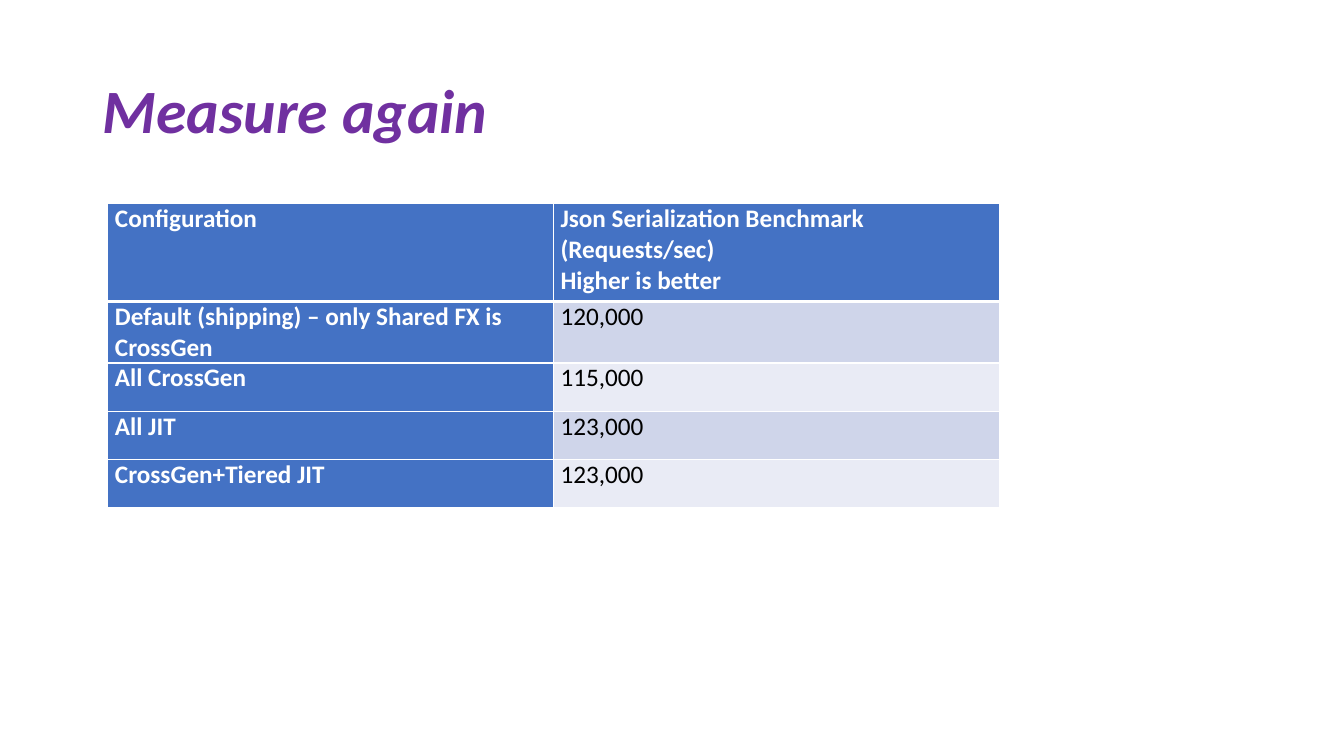
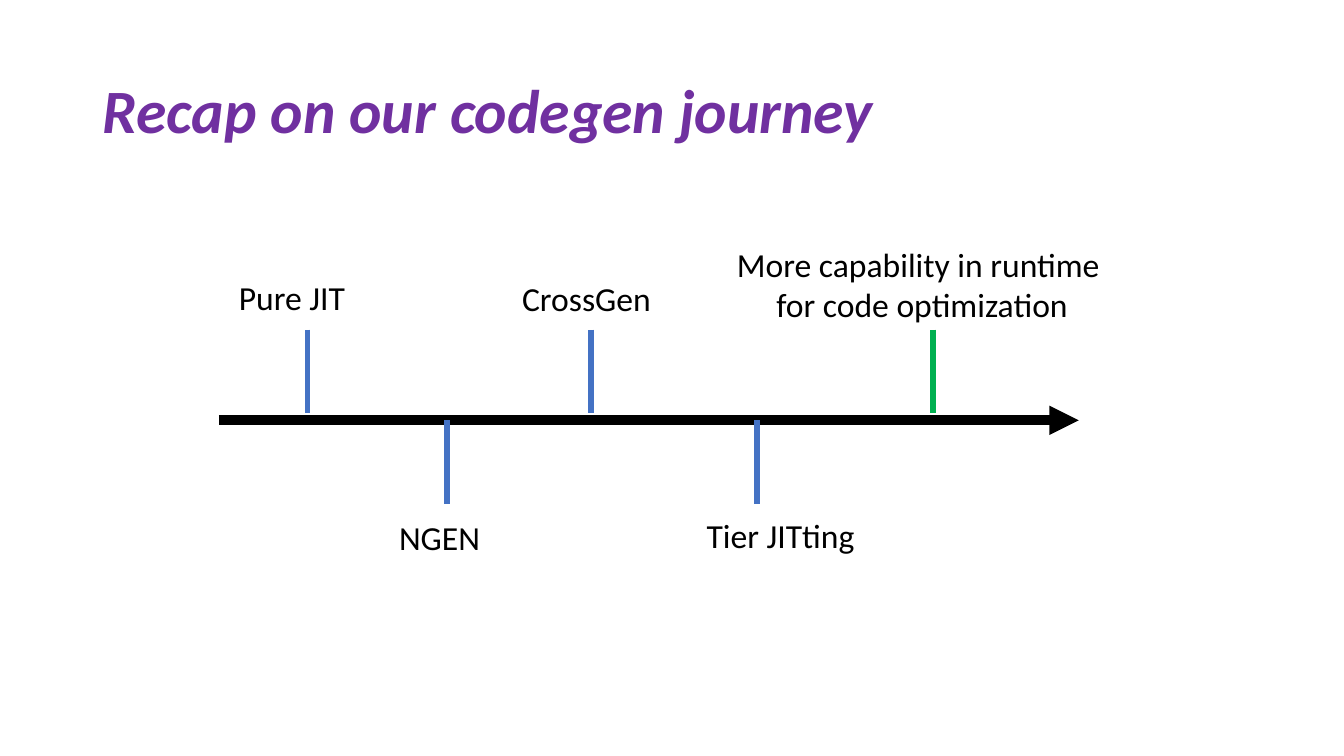
import pptx
import pptx.util
import pptx.dml.color
import pptx.enum.shapes
import pptx.enum.text
import pptx.oxml
import pptx.oxml.ns
from pptx.util import Inches

COLORS = {
    "title": "7030A0",
    "text": "000000",
    "white": "FFFFFF",
    "accent": "4472C4",
    "future": "00B050",
    "band_dark": "CFD5EA",
    "band_light": "E9EBF5",
}


class Deck:
    """Hold the shared style and the current slide."""

    font = "Calibri"

    def __init__(self):
        self.prs = pptx.Presentation()
        self.prs.slide_width = Inches(13.33)
        self.prs.slide_height = Inches(7.5)
        self.s = None

    def rgb(self, color):
        return pptx.dml.color.RGBColor.from_string(COLORS[color])

    def format(self, tf, size, color, bold=False, italic=False, align="LEFT"):
        for p in tf.paragraphs:
            p.alignment = pptx.enum.text.PP_ALIGN[align]
            for r in p.runs:
                r.font.name = self.font
                r.font.size = pptx.util.Pt(size)
                r.font.bold = bold
                r.font.italic = italic
                r.font.color.rgb = self.rgb(color)

    def slide(self, title):
        self.s = self.prs.slides.add_slide(self.prs.slide_layouts[5])
        sp = self.s.shapes.title
        sp.left, sp.top = Inches(0.92), Inches(0.4)
        sp.width, sp.height = Inches(11.5), Inches(1.45)
        tf = sp.text_frame
        tf.text = title
        tf.word_wrap = True
        tf.auto_size = pptx.enum.text.MSO_AUTO_SIZE.NONE
        tf.vertical_anchor = pptx.enum.text.MSO_ANCHOR.MIDDLE
        tf.paragraphs[0].line_spacing = 0.9
        self.format(tf, 44, "title", bold=True, italic=True)

    def text(self, x, y, w, h, text, align="LEFT"):
        tf = self.s.shapes.add_textbox(Inches(x), Inches(y), Inches(w), Inches(h)).text_frame
        tf.word_wrap = True
        tf.auto_size = pptx.enum.text.MSO_AUTO_SIZE.SHAPE_TO_FIT_TEXT
        tf.text = text
        self.format(tf, 24, "text", align=align)

    def line(self, x1, y1, x2, y2, color, width, arrow=False):
        c = self.s.shapes.add_connector(
            pptx.enum.shapes.MSO_CONNECTOR.STRAIGHT,
            Inches(x1), Inches(y1), Inches(x2), Inches(y2))
        c.line.color.rgb = self.rgb(color)
        c.line.width = pptx.util.Pt(width)
        if arrow:
            ln = c.line._get_or_add_ln()
            ln.append(pptx.oxml.parse_xml(
                f'<a:tailEnd {pptx.oxml.ns.nsdecls("a")} type="triangle"/>'))
        c._element.spPr.append(pptx.oxml.parse_xml(
            f'<a:effectLst {pptx.oxml.ns.nsdecls("a")}/>'))

    def borders(self, cell, top, bottom):
        tcPr = cell._tc.get_or_add_tcPr()
        for side, width in (("L", 1), ("R", 1), ("T", top), ("B", bottom)):
            tcPr.append(pptx.oxml.parse_xml(
                f'<a:ln{side} {pptx.oxml.ns.nsdecls("a")} w="{pptx.util.Pt(width)}">'
                f'<a:solidFill><a:srgbClr val="{COLORS["white"]}"/></a:solidFill>'
                f'</a:ln{side}>'))

    def table(self, x, y, col_width, row_heights, rows):
        tb = self.s.shapes.add_table(
            len(rows), len(rows[0]), Inches(x), Inches(y),
            Inches(col_width * len(rows[0])), Inches(sum(row_heights))).table
        tb.first_col = True
        for col in tb.columns:
            col.width = Inches(col_width)
        for i, row in enumerate(rows):
            tb.rows[i].height = Inches(row_heights[i])
            for j, text in enumerate(row):
                cell = tb.cell(i, j)
                heading = i == 0 or j == 0
                band = "band_dark" if i % 2 else "band_light"
                cell.margin_left = cell.margin_right = Inches(0.07)
                cell.margin_top = cell.margin_bottom = 0
                self.borders(cell, 3 if i == 1 else 1, 3 if i == 0 else 1)
                cell.fill.solid()
                cell.fill.fore_color.rgb = self.rgb("accent" if heading else band)
                cell.text_frame.text = text
                self.format(cell.text_frame, 18, "white" if heading else "text", bold=heading)


def main():
    deck = Deck()

    deck.slide("Measure again")
    deck.table(1.07, 2.02, 4.42, [0.97] + [0.48] * 4, [
        ("Configuration", "Json Serialization Benchmark (Requests/sec)\nHigher is better"),
        ("Default (shipping) – only Shared FX is CrossGen", "120,000"),
        ("All CrossGen", "115,000"),
        ("All JIT", "123,000"),
        ("CrossGen+Tiered JIT", "123,000"),
    ])

    deck.slide("Recap on our codegen journey")
    axis_y, tick = 4.17, 0.83
    deck.line(2.17, axis_y, 10.7, axis_y, "text", 7, arrow=True)
    milestones = [
        (3.05, 3.27, "accent", (2.27, 2.7, 1.57, 0.5), "Pure JIT", "LEFT"),
        (4.43, axis_y, "accent", (3.86, 5.08, 1.57, 0.5), "NGEN", "LEFT"),
        (5.86, 3.27, "accent", (5.08, 2.71, 1.57, 0.5), "CrossGen", "LEFT"),
        (7.51, axis_y, "accent", (6.91, 5.06, 1.92, 0.5), "Tier JITting", "LEFT"),
        (9.25, 3.27, "future", (7.15, 2.37, 3.99, 0.91),
         "More capability in runtime \nfor code optimization", "CENTER"),
    ]
    for x, y, color, box, label, align in milestones:
        deck.line(x, y, x, y + tick, color, 4.25)
        deck.text(*box, label, align)

    deck.prs.save("out.pptx")


if __name__ == "__main__":
    main()
